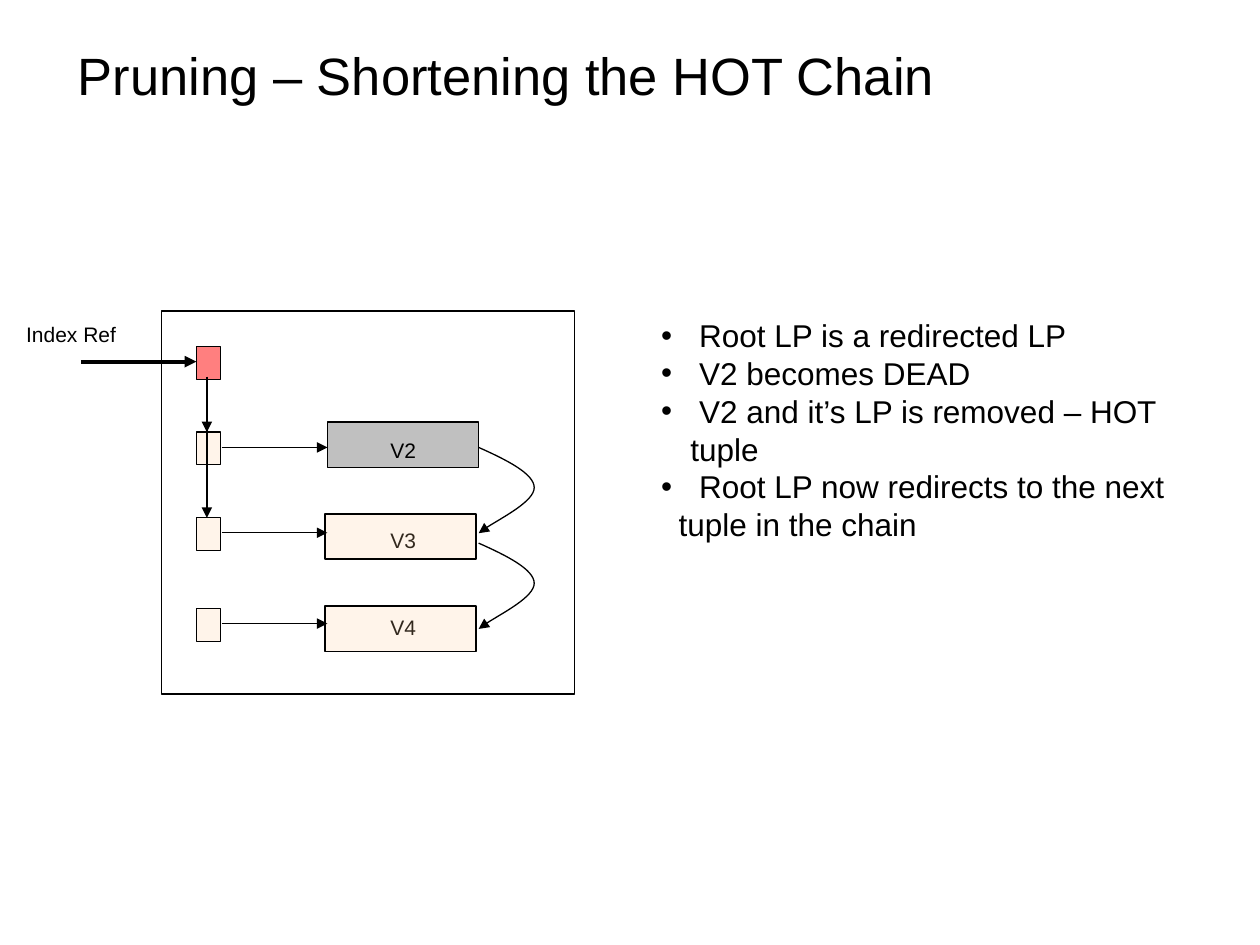
from dataclasses import dataclass

from lxml import etree
from pptx import Presentation
from pptx.dml.color import RGBColor
from pptx.enum.shapes import MSO_CONNECTOR, MSO_SHAPE
from pptx.enum.text import MSO_ANCHOR, MSO_AUTO_SIZE, PP_ALIGN
from pptx.oxml.ns import qn
from pptx.util import Cm, Pt

RECTANGLE = MSO_SHAPE.RECTANGLE
STRAIGHT = MSO_CONNECTOR.STRAIGHT
LEFT, CENTER = PP_ALIGN.LEFT, PP_ALIGN.CENTER
TOP, BOTTOM = MSO_ANCHOR.TOP, MSO_ANCHOR.BOTTOM


@dataclass(frozen=True)
class Theme:
    font: str = "Arial"
    ink: str = "000000"
    redirected: str = "FF0000"
    live: str = "FFCC99"
    dead: str = "C0C0C0"
    title_size: int = 30
    list_size: int = 18
    label_size: int = 12
    thin: float = 0.75
    thick: float = 2.25


THEME = Theme()

# Content; all lengths are in centimetres
TITLE = "Pruning – Shortening the HOT Chain"
# (text, has bullet)
POINTS = [
    (" Root LP is a redirected LP", True),
    (" V2 becomes DEAD", True),
    (" V2 and it’s LP is removed – HOT tuple", True),
    (" Root LP now redirects to the next", True),
    ("tuple in the chain", False),
]
BULLET_HANG, CONTINUATION_INDENT = 0.59, 0.35
INDEX_LABEL = ("Index Ref", 0.03, 6.35, 2.81)

PAGE = (3.25, 6.27, 8.33, 7.72)
POINTER_LEFT, POINTER_SIZE = 3.96, (0.48, 0.66)
# (top, colour, opacity in percent)
LINE_POINTERS = [
    (6.99, THEME.redirected, 50),
    (8.71, THEME.live, 20),
    (10.44, THEME.live, 20),
    (12.27, THEME.live, 20),
]
TUPLE_SIZE = (3.05, 0.91)
DEAD_TUPLE = (6.6, 8.51)
LIVE_TUPLES = [(6.55, 10.36), (6.55, 12.22)]
TUPLE_LABELS = [("V2", 8.69), ("V3", 10.52), ("V4", 12.27)]
TUPLE_LABEL_LEFT, TUPLE_LABEL_WIDTH, LABEL_HEIGHT = 7.52, 1.22, 0.76

TUPLE_ARROW_ROWS = [9.02, 10.74, 12.57]
TUPLE_ARROW_SPAN = (4.47, 6.6)
INDEX_ARROW = (1.63, 7.29, POINTER_LEFT, 7.29)
REDIRECT_X = 4.17
REDIRECT_SPANS = [(7.7, 8.71), (7.59, 10.44)]

CHAIN_LEFT, CHAIN_TOPS = 9.65, [9.02, 10.95]
# Two Bezier pieces, relative to the start of the curve
CHAIN_CURVE = [
    [(0.56, 0.25), (1.12, 0.53), (1.12, 0.81)],
    [(1.12, 1.09), (0.18, 1.57), (0, 1.73)],
]


def set_line(shape, width=THEME.thin, arrow=False):
    shape.line.color.rgb = RGBColor.from_string(THEME.ink)
    shape.line.width = Pt(width)
    if arrow:
        etree.SubElement(shape.line._get_or_add_ln(), qn("a:tailEnd"), type="triangle")


def add_box(slide, left, top, width, height, color=None, opacity=100):
    shape = slide.shapes.add_shape(RECTANGLE, Cm(left), Cm(top), Cm(width), Cm(height))
    shape.shadow.inherit = False
    set_line(shape)
    if color is None:
        shape.fill.background()
        return
    shape.fill.solid()
    shape.fill.fore_color.rgb = RGBColor.from_string(color)
    if opacity < 100:
        color_element = shape._element.spPr.find(qn("a:solidFill"))[0]
        etree.SubElement(color_element, qn("a:alpha"), val=str(opacity * 1000))


def add_arrow(slide, x1, y1, x2, y2, width=THEME.thin):
    connector = slide.shapes.add_connector(STRAIGHT, Cm(x1), Cm(y1), Cm(x2), Cm(y2))
    set_line(connector, width, arrow=True)
    etree.SubElement(connector._element.spPr, qn("a:effectLst"))


def add_chain_curve(slide, left, top):
    ends = [(Cm(left + piece[-1][0]), Cm(top + piece[-1][1])) for piece in CHAIN_CURVE]
    builder = slide.shapes.build_freeform(Cm(left), Cm(top))
    builder.add_line_segments(ends, close=False)
    shape = builder.convert_to_shape()
    shape.shadow.inherit = False
    shape.fill.background()
    set_line(shape, arrow=True)
    # Turn each straight segment into a Bezier piece
    for segment, piece in zip(list(shape._element.iter(qn("a:lnTo"))), CHAIN_CURVE):
        curve = etree.Element(qn("a:cubicBezTo"))
        for x, y in piece:
            etree.SubElement(curve, qn("a:pt"), x=str(Cm(x)), y=str(Cm(y)))
        segment.getparent().replace(segment, curve)


def style_paragraph(paragraph, size, align=LEFT):
    paragraph.alignment = align
    paragraph.font.name = THEME.font
    paragraph.font.size = Pt(size)
    paragraph.font.color.rgb = RGBColor.from_string(THEME.ink)


def add_text_frame(slide, left, top, width, height, anchor=TOP, wrap=True):
    frame = slide.shapes.add_textbox(Cm(left), Cm(top), Cm(width), Cm(height)).text_frame
    frame.word_wrap = wrap
    frame.vertical_anchor = anchor
    return frame


def add_label(slide, text, left, top, width):
    frame = add_text_frame(slide, left, top, width, LABEL_HEIGHT, wrap=False)
    frame.text = text
    style_paragraph(frame.paragraphs[0], THEME.label_size, CENTER)


def add_points(slide):
    frame = add_text_frame(slide, 13.08, 6.25, 11.71, 4.06)
    frame.auto_size = MSO_AUTO_SIZE.SHAPE_TO_FIT_TEXT
    for index, (text, has_bullet) in enumerate(POINTS):
        paragraph = frame.add_paragraph() if index else frame.paragraphs[0]
        paragraph.text = text
        properties = paragraph._p.get_or_add_pPr()
        if has_bullet:
            properties.set("marL", str(Cm(BULLET_HANG)))
            properties.set("indent", str(-Cm(BULLET_HANG)))
            etree.SubElement(properties, qn("a:buFont"), typeface=THEME.font)
            etree.SubElement(properties, qn("a:buChar"), char="•")
        else:
            properties.set("marL", str(Cm(CONTINUATION_INDENT)))
        style_paragraph(paragraph, THEME.list_size)


def main():
    presentation = Presentation()
    presentation.slide_width, presentation.slide_height = Cm(25.4), Cm(19.05)
    slide = presentation.slides.add_slide(presentation.slide_layouts[6])

    # Title
    title = add_text_frame(slide, 1.32, 0.13, 21.64, 2.13, BOTTOM)
    title.text = TITLE
    style_paragraph(title.paragraphs[0], THEME.title_size)

    # Page with its line pointers
    add_box(slide, *PAGE)
    for top, color, opacity in LINE_POINTERS:
        add_box(slide, POINTER_LEFT, top, *POINTER_SIZE, color, opacity)

    # Chain between tuples, and arrows into the tuples
    for top in CHAIN_TOPS:
        add_chain_curve(slide, CHAIN_LEFT, top)
    start, end = TUPLE_ARROW_SPAN
    for row in TUPLE_ARROW_ROWS:
        add_arrow(slide, start, row, end, row)
    add_arrow(slide, *INDEX_ARROW, THEME.thick)

    # Dead tuple and labels
    add_box(slide, *DEAD_TUPLE, *TUPLE_SIZE, THEME.dead)
    for text, top in TUPLE_LABELS:
        add_label(slide, text, TUPLE_LABEL_LEFT, top, TUPLE_LABEL_WIDTH)
    add_label(slide, *INDEX_LABEL)

    # Redirects from the root line pointer
    for start, end in REDIRECT_SPANS:
        add_arrow(slide, REDIRECT_X, start, REDIRECT_X, end)

    add_points(slide)

    # Live tuples tint the labels beneath them
    for left, top in LIVE_TUPLES:
        add_box(slide, left, top, *TUPLE_SIZE, THEME.live, 20)

    presentation.save("out.pptx")


if __name__ == "__main__":
    main()
